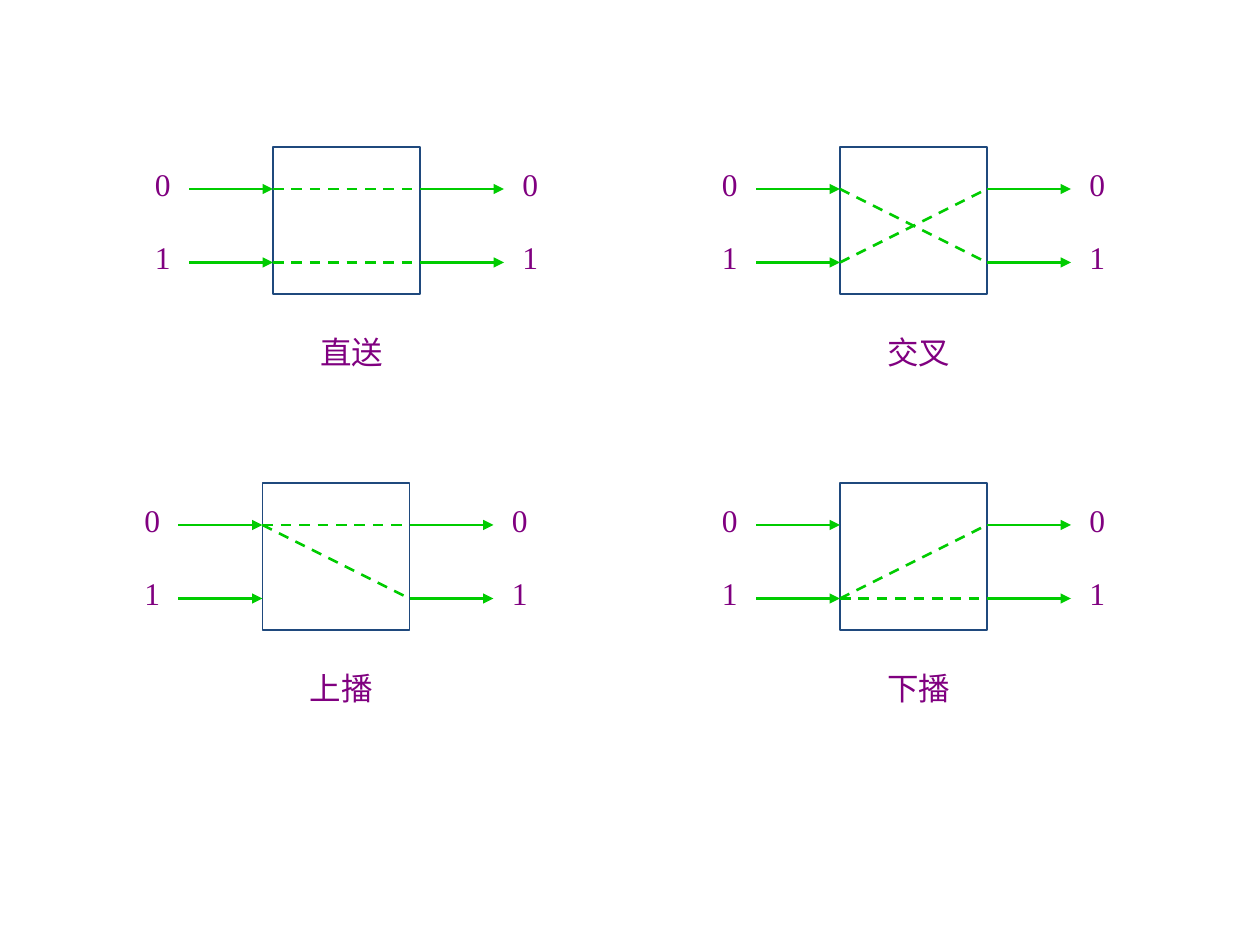
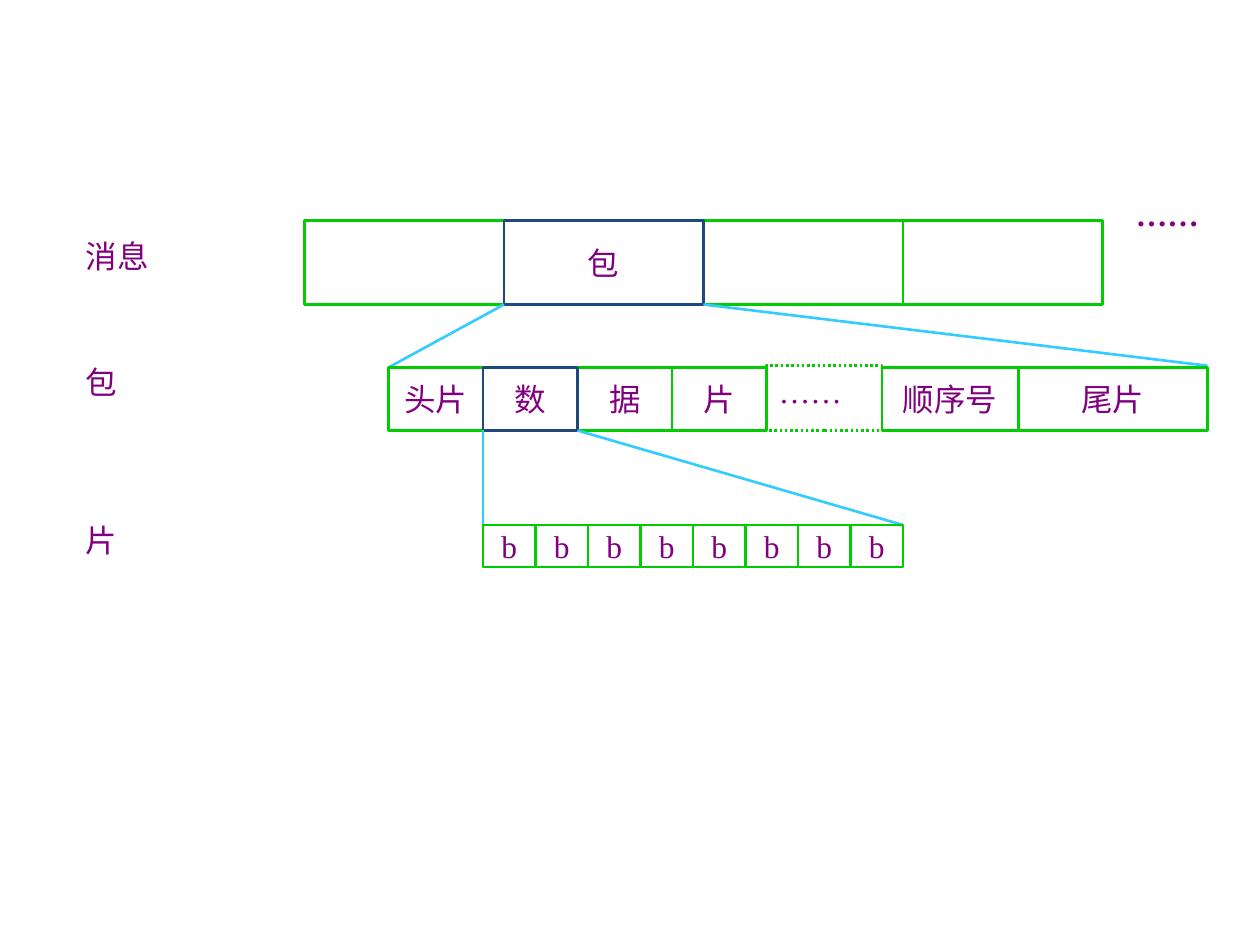
from itertools import accumulate

from lxml import etree
from pptx import Presentation
from pptx.dml.color import RGBColor
from pptx.enum.dml import MSO_LINE
from pptx.enum.shapes import MSO_CONNECTOR, MSO_SHAPE
from pptx.enum.text import MSO_ANCHOR, PP_ALIGN
from pptx.oxml.ns import qn
from pptx.util import Pt

RECT = MSO_SHAPE.RECTANGLE
STRAIGHT = MSO_CONNECTOR.STRAIGHT
DASH, DOTS = MSO_LINE.DASH, MSO_LINE.ROUND_DOT
TOP, MIDDLE = MSO_ANCHOR.TOP, MSO_ANCHOR.MIDDLE
LEFT, CENTER = PP_ALIGN.LEFT, PP_ALIGN.CENTER

COLORS = {"text": "800080", "signal": "00CC00", "focus": "1F497D", "zoom": "33CCFF"}
FONT, SIZE = "Times New Roman", 18

BOX = 84                # side of a switch box
PORTS = (24, 66)        # heights of ports 0 and 1 below the top of the box
WIRE = 48               # length of an arrow into or out of the box
LABEL = 42              # side of a port label


def rgb(name):
    return RGBColor.from_string(COLORS[name])


def write(s, text, centered=True, bold=False):
    tf = s.text_frame
    tf.text = text
    tf.word_wrap = not centered
    tf.vertical_anchor = MIDDLE if centered else TOP
    p = tf.paragraphs[0]
    p.alignment = CENTER if centered else LEFT
    font = p.runs[0].font
    font.name, font.size, font.bold = FONT, Pt(SIZE), bold
    font.color.rgb = rgb("text")


def add_text(slide, x, y, w, h, text, centered=True, bold=False):
    s = slide.shapes.add_textbox(Pt(x), Pt(y), Pt(w), Pt(h))
    write(s, text, centered, bold)


def add_box(slide, x, y, w, h, color, width=1.5):
    s = slide.shapes.add_shape(RECT, Pt(x), Pt(y), Pt(w), Pt(h))
    s.shadow.inherit = False
    s.fill.background()
    s.line.color.rgb = rgb(color)
    s.line.width = Pt(width)
    return s


def add_line(slide, start, end, color="signal", dash=None, arrow=False):
    c = slide.shapes.add_connector(STRAIGHT, *map(Pt, (*start, *end)))
    c.line.color.rgb = rgb(color)
    c.line.width = Pt(1.5)
    if dash:
        c.line.dash_style = dash
    if arrow:
        etree.SubElement(c.line._get_or_add_ln(), qn("a:tailEnd"), type="triangle")
    etree.SubElement(c._element.spPr, qn("a:effectLst"))


def draw_switch(slide, x, y, caption, routes):
    """Draw a 2x2 switch whose box starts at x, y; routes pair inputs with outputs."""
    right = x + BOX
    for label_x in (x - 2 * LABEL, right + LABEL):
        for port in range(len(PORTS)):
            add_text(slide, label_x, y + port * LABEL, LABEL, LABEL, str(port))
    add_box(slide, x, y, BOX, BOX, "focus", 0.75)
    for start_x in (x - WIRE, right):
        for port_y in PORTS:
            add_line(slide, (start_x, y + port_y), (start_x + WIRE, y + port_y), arrow=True)
    for source, target in routes:
        add_line(slide, (x, y + PORTS[source]), (right, y + PORTS[target]), dash=DASH)
    add_text(slide, x + 12, y + 96, 66, LABEL, caption)


def draw_cells(slide, x, y, h, cells, focus=None):
    """Draw (text, width) cells side by side, the one numbered focus on top."""
    edges = list(accumulate((w for _, w in cells), initial=x))
    for i in sorted(range(len(cells)), key=lambda n: n == focus):
        text, w = cells[i]
        if text == "……":
            s = add_box(slide, edges[i], y - 1, w, h + 1, "signal")
            s.line.dash_style = DOTS
            write(s, text, centered=False)
            continue
        s = add_box(slide, edges[i], y, w, h, "focus" if i == focus else "signal")
        if text:
            write(s, text)


def switch_slide(slide):
    draw_switch(slide, 156, 84, "直送", [(0, 0), (1, 1)])
    draw_switch(slide, 480, 84, "交叉", [(0, 1), (1, 0)])
    draw_switch(slide, 150, 276, "上播", [(0, 0), (0, 1)])
    draw_switch(slide, 480, 276, "下播", [(1, 0), (1, 1)])


def message_slide(slide):
    message = [("", 114), ("包", 114), ("", 114), ("", 114)]
    packet = [("头片", 54), ("数", 54), ("据", 54), ("片", 54),
              ("……", 66), ("顺序号", 78), ("尾片", 108)]
    flit = [("b", 30)] * 8

    draw_cells(slide, 174, 126, 48, message, focus=1)
    add_text(slide, 642, 108, 72, 36, "……", centered=False, bold=True)
    for y, name in ((132, "消息"), (204, "包"), (294, "片")):
        add_text(slide, 42, y, 72, 36, name, centered=False)

    add_line(slide, (402, 174), (690, 209), "zoom")
    add_line(slide, (288, 174), (222, 210), "zoom")
    draw_cells(slide, 222, 210, 36, packet, focus=1)

    add_line(slide, (276, 246), (276, 300), "zoom")
    add_line(slide, (330, 246), (516, 300), "zoom")
    draw_cells(slide, 276, 300, 24, flit)


def main():
    prs = Presentation()
    prs.slide_width, prs.slide_height = Pt(720), Pt(540)
    for draw in (switch_slide, message_slide):
        draw(prs.slides.add_slide(prs.slide_layouts[6]))
    prs.save("out.pptx")


if __name__ == "__main__":
    main()
